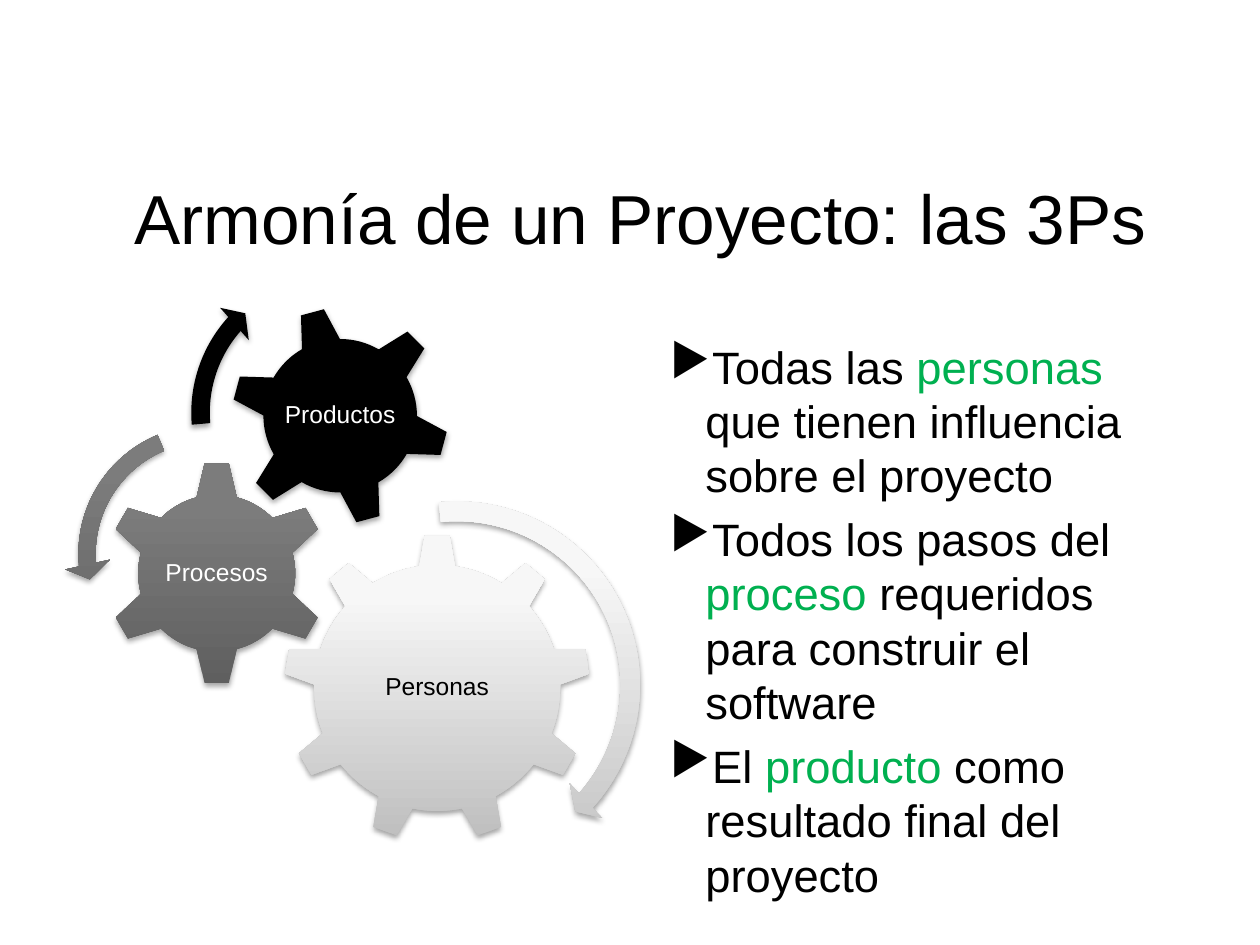
from copy import deepcopy

from lxml import etree
from pptx import Presentation
from pptx import util as u
from pptx.dml.color import RGBColor
from pptx.enum import shapes, text
from pptx.oxml import parse_xml
from pptx.oxml.ns import nsdecls, qn

# The slide is a grid of 100 columns by 75 rows of square cells
CELL = u.Inches(0.1)
FONT = "Arial"
BLACK, WHITE, GREEN = "000000", "FFFFFF", "00B050"
LIGHT = [(0, "BEBEBE"), (0.8, "F7F7F7"), (1, "F8F8F8")]
GREY = [(0, "5F5F5F"), (0.8, "7C7C7C"), (1, "7C7C7C")]
KIND = shapes.MSO_SHAPE

# Gear, centre, diameter, rotation, fill, label, label colour, label size
GEARS = [
    (KIND.GEAR_9, (34.7, 54.6), 24.4, 0, LIGHT, "Personas", BLACK, (14.6, 12.6)),
    (KIND.GEAR_6, (17.2, 45.5), 17.8, 0, GREY, "Procesos", WHITE, (8.8, 8.8)),
    (KIND.GEAR_6, (27, 33), 17.4, 345, BLACK, "Productos", WHITE, (9.8, 9.8)),
]

# Arrow, centre, diameter, fill, adjustments
ARROWS = [
    (KIND.CIRCULAR_ARROW, (36.25, 54.35), 31.3, LIGHT,
     (0.05, 2.99, 25.13, 158.68, 0.06)),
    (KIND.LEFT_CIRCULAR_ARROW, (16.45, 43.95), 22.7, GREY,
     (0.06, 4.3, 104.89, 148.38, 0.08)),
    (KIND.CIRCULAR_ARROW, (26.45, 32.75), 24.5, BLACK,
     (0.06, 3.94, 133.14, 105.08, 0.07)),
]

# Each point is the text before, the highlighted word and the text after
POINTS = [
    ("Todas las ", "personas", " que tienen influencia sobre el proyecto"),
    ("Todos los pasos del ", "proceso", " requeridos para construir el software"),
    ("El ", "producto", " como resultado final del proyecto"),
]


def color(code):
    return RGBColor.from_string(code)


def box(left, top, width, height):
    return [round(cells * CELL) for cells in (left, top, width, height)]


def centred(centre, width, height):
    return box(centre[0] - width / 2, centre[1] - height / 2, width, height)


def add_run(paragraph, words, size=14, fill=BLACK):
    run = paragraph.add_run()
    run.text = words
    run.font.name = FONT
    run.font.size = u.Pt(size)
    run.font.color.rgb = color(fill)


def add_text(slide, place, paragraphs, size=14, align=text.PP_ALIGN.LEFT,
             anchor=text.MSO_ANCHOR.TOP, inset=None, line_spacing=None,
             space_before=None, bullet=None):
    """Add a text box; each paragraph is a list of (words, colour)."""
    frame = slide.shapes.add_textbox(*place).text_frame
    frame.word_wrap = True
    frame.vertical_anchor = anchor
    if inset is not None:
        frame.margin_left = frame.margin_right = u.Inches(inset)
        frame.margin_top = frame.margin_bottom = u.Inches(inset)
    for index, parts in enumerate(paragraphs):
        paragraph = frame.add_paragraph() if index else frame.paragraphs[0]
        paragraph.alignment = align
        paragraph.line_spacing = line_spacing
        paragraph.space_before = space_before
        if bullet:
            add_bullet(paragraph, bullet)
        for words, fill in parts:
            add_run(paragraph, words, size=size, fill=fill)


def add_bullet(paragraph, symbol):
    properties = paragraph._p.get_or_add_pPr()
    properties.set("marL", str(u.Inches(0.4)))
    properties.set("indent", str(u.Inches(-0.28)))
    etree.SubElement(properties, qn("a:buChar")).set("char", symbol)


def paint(shape, fill):
    """Fill with one colour or with a list of gradient stops, bottom to top."""
    if isinstance(fill, str):
        shape.fill.solid()
        shape.fill.fore_color.rgb = color(fill)
        return
    shape.fill.gradient()
    shape.fill.gradient_angle = 90
    stops = shape._element.spPr.find(qn("a:gradFill")).find(qn("a:gsLst"))
    stops.append(deepcopy(stops[-1]))
    for stop, (position, code) in zip(shape.fill.gradient_stops, fill):
        stop.position = position
        stop.color.rgb = color(code)


def add_shadow(shape):
    shape.shadow.inherit = False
    effects = shape._element.spPr.find(qn("a:effectLst"))
    effects.append(parse_xml(
        f'<a:outerShdw {nsdecls("a")} blurRad="{u.Pt(3.1)}" dist="{u.Pt(1.8)}" '
        'dir="5400000" rotWithShape="0"><a:srgbClr val="000000">'
        '<a:alpha val="35000"/></a:srgbClr></a:outerShdw>'))


def add_round_shape(slide, kind, centre, diameter, fill, rotation=0, adjustments=()):
    shape = slide.shapes.add_shape(kind, *centred(centre, diameter, diameter))
    shape.rotation = rotation
    for index, value in enumerate(adjustments):
        shape.adjustments[index] = value
    paint(shape, fill)
    shape.line.fill.background()
    add_shadow(shape)


def main():
    presentation = Presentation()
    presentation.slide_width, presentation.slide_height = 100 * CELL, 75 * CELL
    slide = presentation.slides.add_slide(presentation.slide_layouts[6])

    # Title
    add_text(slide, box(9.2, 10.2, 83.3, 14),
             [[("Armonía de un Proyecto: las 3Ps", BLACK)]], size=39.6,
             align=text.PP_ALIGN.CENTER, anchor=text.MSO_ANCHOR.MIDDLE)

    # Bullet points
    points = [list(zip(parts, (BLACK, GREEN, BLACK))) for parts in POINTS]
    add_text(slide, box(51, 26.4, 42, 45), points, size=25.9,
             space_before=u.Pt(5.2), bullet="▶")

    # Gears with their labels
    for kind, centre, diameter, rotation, fill, label, ink, size in GEARS:
        add_round_shape(slide, kind, centre, diameter, fill, rotation=rotation)
        add_text(slide, centred(centre, *size), [[(label, ink)]],
                 align=text.PP_ALIGN.CENTER, anchor=text.MSO_ANCHOR.MIDDLE,
                 inset=0.02, line_spacing=0.9)

    # Arrows that show the turning
    for kind, centre, diameter, fill, adjustments in ARROWS:
        add_round_shape(slide, kind, centre, diameter, fill, adjustments=adjustments)

    presentation.save("out.pptx")


if __name__ == "__main__":
    main()
